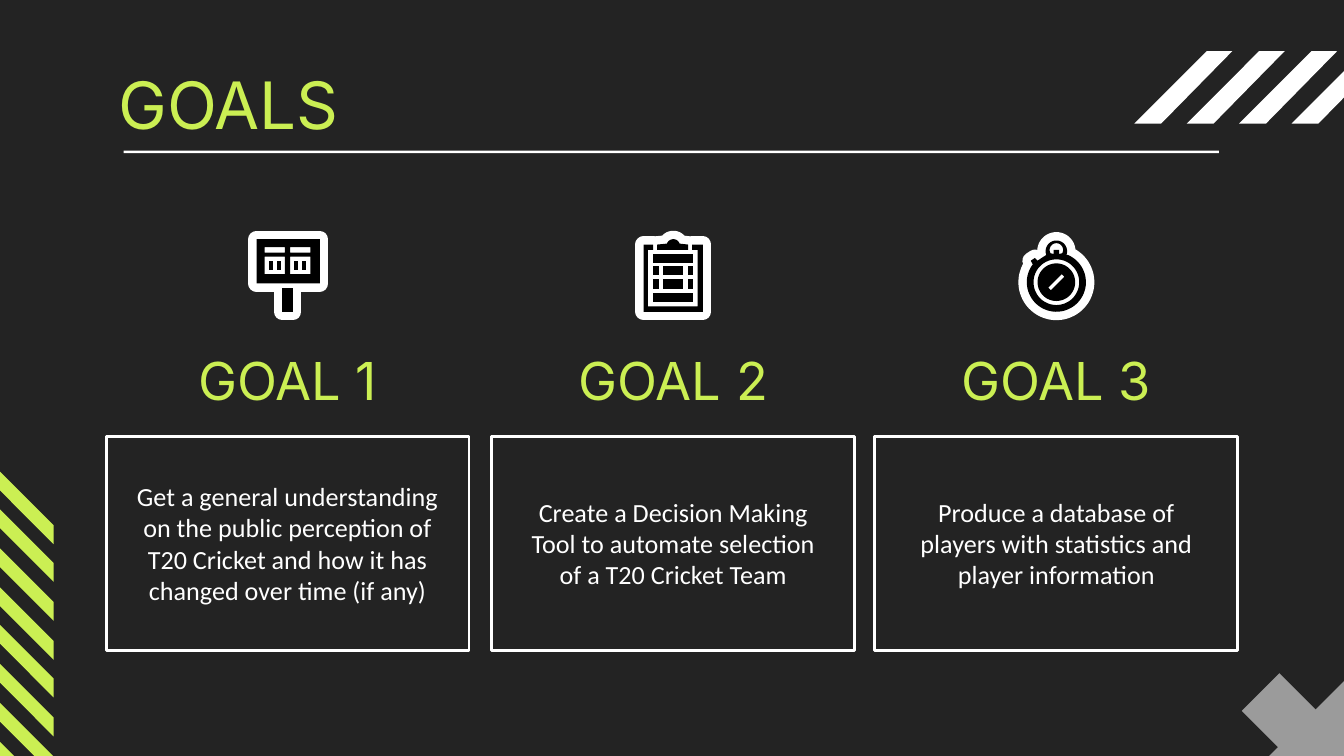
from dataclasses import dataclass
from math import cos, radians, sin

from lxml.etree import SubElement
from pptx import Presentation
from pptx.dml.color import RGBColor as Rgb
from pptx.enum.shapes import MSO_SHAPE as Kind
from pptx.enum.text import MSO_ANCHOR as Anchor, MSO_AUTO_SIZE as Fit, PP_ALIGN as Align
from pptx.oxml.ns import qn
from pptx.util import Pt

PX = 9144
WIDE = 1000

Point = tuple[float, float]
Loop = list[Point]
Part = list[Loop]


@dataclass(frozen=True)
class Theme:
    dark: Rgb = Rgb(0x23, 0x23, 0x23)
    lime: Rgb = Rgb(0xCB, 0xEF, 0x53)
    white: Rgb = Rgb(0xFF, 0xFF, 0xFF)
    black: Rgb = Rgb(0, 0, 0)
    gray: Rgb = Rgb(0x9B, 0x9B, 0x9B)
    head: str = "Inter"
    body: str = "Calibri"
    title: int = 35
    goal: int = 28
    text: int = 14
    frame: float = 1.5
    halo: int = 9


@dataclass(frozen=True)
class Goal:
    left: int
    name: str
    text: str
    icon: list[Part]


THEME = Theme()


def emu(*lengths: float) -> list[int]:
    return [round(n * PX) for n in lengths]


def box(x: int, y: int, w: int, h: int) -> Loop:
    return [(x, y), (x, y + h), (x + w, y + h), (x + w, y)]


def arc(x: int, y: int, r: int, start: int, end: int) -> Loop:
    return [(x + r * cos(radians(a)), y + r * sin(radians(a)))
            for a in range(start, end + 1, 5)]


def shift(loop: Loop, dx: int, dy: int) -> Loop:
    return [(x + dx, y + dy) for x, y in loop]


def draw(shapes, part: Part, color: Rgb, halo: int = 0) -> None:
    pen = None
    for loop in part:
        first, *rest = [tuple(emu(*p)) for p in loop]
        if pen is None:
            pen = shapes.build_freeform(*first)
        else:
            pen.move_to(*first)
        pen.add_line_segments(rest, close=True)
    shape = pen.convert_to_shape()
    shape.shadow.inherit = False
    shape.fill.solid()
    shape.fill.fore_color.rgb = color
    if halo:
        shape.line.color.rgb = color
        shape.line.width = Pt(halo)
        SubElement(shape.line._get_or_add_ln(), qn("a:round"))
    else:
        shape.line.fill.background()


def write(shape, text: str, font: str, size: int, color: Rgb,
          align=Align.CENTER, anchor=Anchor.MIDDLE) -> None:
    frame = shape.text_frame
    frame.text = text
    frame.word_wrap = True
    frame.auto_size = Fit.NONE
    frame.vertical_anchor = anchor
    inset, = emu(10)
    frame.margin_left = frame.margin_right = inset
    frame.margin_top = frame.margin_bottom = inset
    para = frame.paragraphs[0]
    para.alignment = align
    face = para.runs[0].font
    face.name, face.size = font, Pt(size)
    face.color.rgb = color


def decor(shapes) -> None:
    slash = [(54, 0), (0, 54), (20, 54), (73, 0)]
    for i in range(4):
        draw(shapes, [shift(slash, 844 + 39 * i, 38)], THEME.white)
    cross = [(82, 0), (0, 82), (28, 110), (110, 28)]
    flip = [(110 - x, y) for x, y in cross]
    for arm in (cross, flip):
        draw(shapes, [shift(arm, 924, 501)], THEME.gray)
    band = [(0, 0), (0, 14), (40, 54), (40, 40)]
    for i in range(8):
        draw(shapes, [shift(band, 0, 351 + 201 * i // 7)], THEME.lime)
    bar = shapes.add_shape(Kind.RECTANGLE, *emu(92, 112, 815, 2))
    bar.shadow.inherit = False
    bar.fill.solid()
    bar.fill.fore_color.rgb = THEME.white
    bar.line.fill.background()


def badge(shapes, icon: list[Part]) -> None:
    group = shapes.add_group_shape().shapes
    for color, halo in ((THEME.white, THEME.halo), (THEME.black, 0)):
        for part in icon:
            draw(group, part, color, halo)


def card(shapes, goal: Goal) -> None:
    frame = shapes.add_shape(Kind.RECTANGLE, *emu(goal.left, 325, 270, 159))
    frame.shadow.inherit = False
    frame.fill.background()
    frame.line.color.rgb = THEME.white
    frame.line.width = Pt(THEME.frame)
    name = shapes.add_textbox(*emu(goal.left + 16, 253, 238, 59))
    write(name, goal.name, THEME.head, THEME.goal, THEME.lime)
    text = shapes.add_textbox(*emu(goal.left + 10, 344, 250, 120))
    write(text, goal.text, THEME.body, THEME.text, THEME.white)
    badge(shapes, goal.icon)


BOARD = [
    *[[box(x, 194, 3, 7)] for x in (200, 206, 219, 225)],
    [box(210, 214, 8, 18)],
    [box(191, 178, 47, 33)]
    + [box(x, y, 15, h) for x in (197, 216) for y, h in ((184, 4), (191, 13))],
]

CLIP = [
    *[[box(x, y, w, 7)] for y in (198, 208) for x, w in ((486, 4), (493, 15), (512, 4))],
    *[[box(486, y, 30, 7)] for y in (189, 218)],
    [[(479, 182), (479, 232), (523, 232), (523, 182), (515, 182), (515, 186),
      (519, 186), (519, 228), (482, 228), (482, 186), (486, 186), (486, 182)]],
    [[(489, 182), *arc(501, 183, 5, 200, 340), (512, 182), (512, 186), (489, 186)]],
]

WATCH = [
    [arc(786, 210, 14, 0, 355), [(790, 204), (792, 206), (782, 216), (780, 214)]],
    [arc(786, 210, 22, -68, 221)
     + [(767, 194), (770, 192), (772, 194)]
     + arc(786, 187, 8, 160, 380),
     arc(786, 210, 17, 0, 355),
     arc(786, 186, 5, 150, 390) + [(788, 189), (788, 186), (784, 186), (784, 189)]],
]

GOALS = [
    Goal(79, "GOAL 1", "Get a general understanding on the public perception of "
         "T20 Cricket and how it has changed over time (if any)", BOARD),
    Goal(366, "GOAL 2", "Create a Decision Making Tool to automate selection "
         "of a T20 Cricket Team", CLIP),
    Goal(651, "GOAL 3", "Produce a database of players with statistics and "
         "player information", WATCH),
]


def main() -> None:
    deck = Presentation()
    deck.slide_width, deck.slide_height = emu(WIDE, WIDE * 9 / 16)
    slide = deck.slides.add_slide(deck.slide_layouts[5])
    slide.background.fill.solid()
    slide.background.fill.fore_color.rgb = THEME.dark
    shapes = slide.shapes
    decor(shapes)
    title = shapes.title
    title.left, title.top, title.width, title.height = emu(78, 38, 844, 67)
    write(title, "GOALS", THEME.head, THEME.title, THEME.lime, Align.LEFT, Anchor.TOP)
    for goal in GOALS:
        card(shapes, goal)
    deck.save("out.pptx")


if __name__ == "__main__":
    main()
